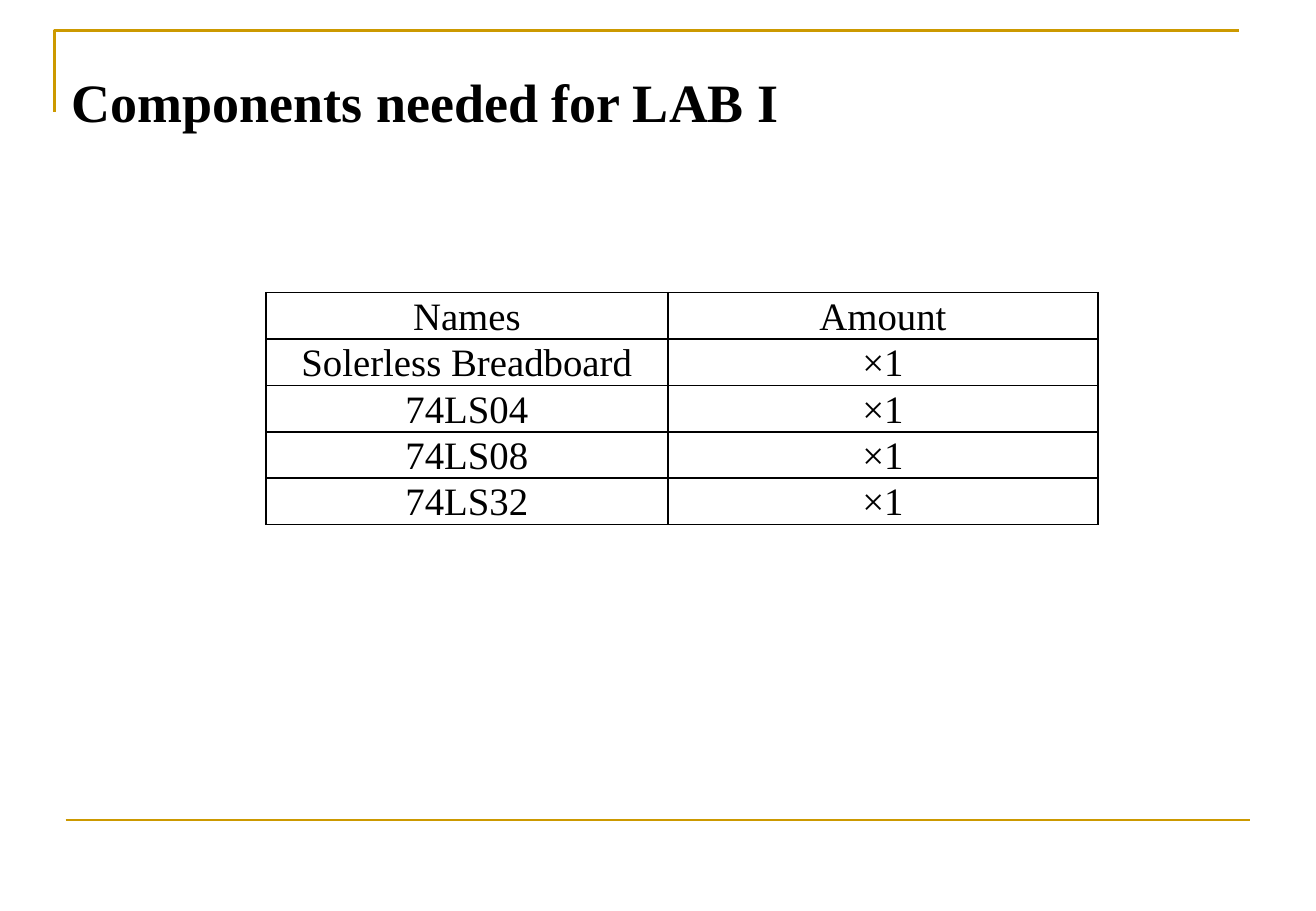
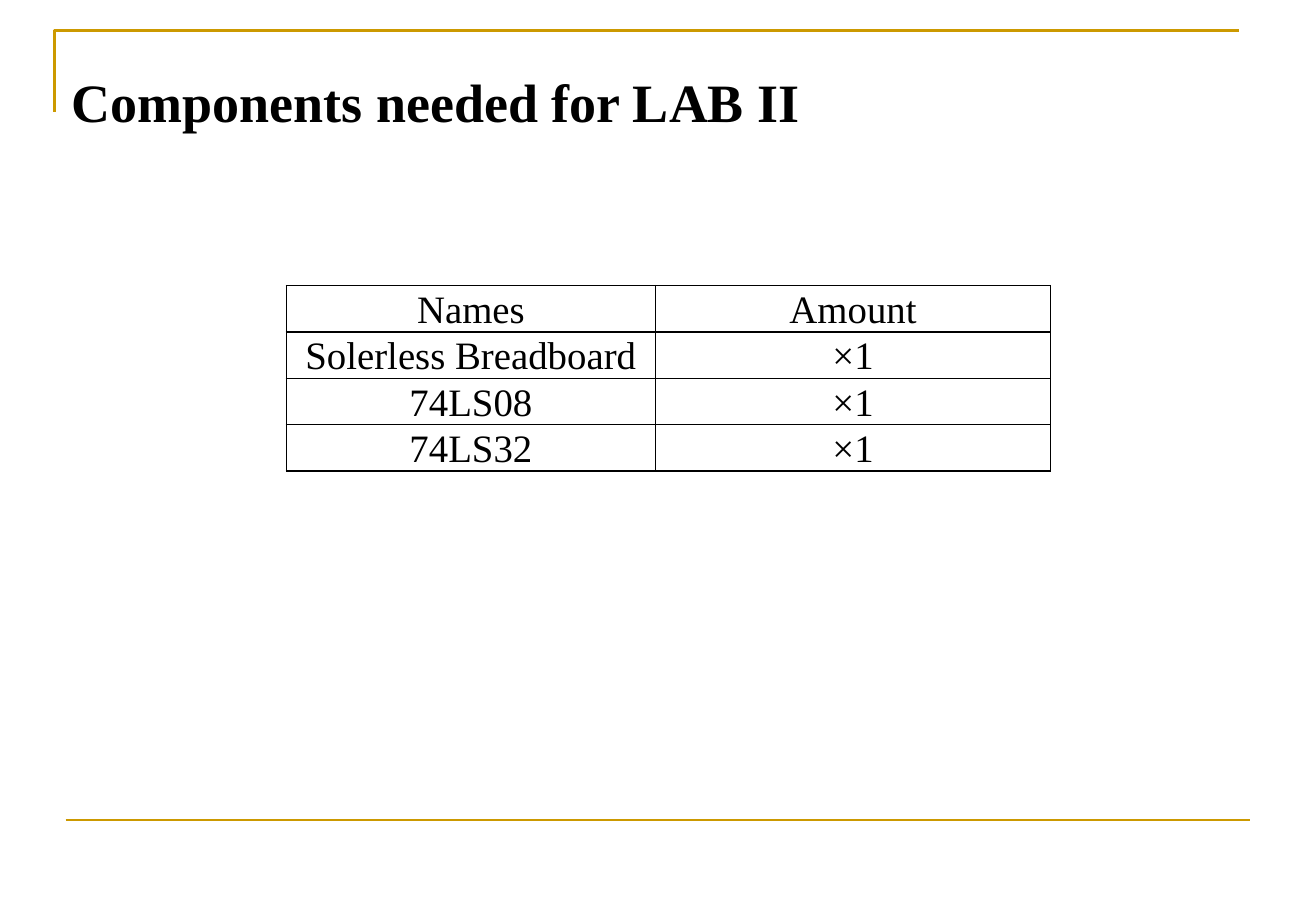
import pptx
import pptx.dml.color
import pptx.enum.shapes
import pptx.enum.text
import pptx.oxml
import pptx.oxml.ns
import pptx.util

Cm, Pt = pptx.util.Cm, pptx.util.Pt
RGBColor = pptx.dml.color.RGBColor
PP_ALIGN = pptx.enum.text.PP_ALIGN
MSO_ANCHOR = pptx.enum.text.MSO_ANCHOR

# Shared style
GOLD = RGBColor(0xCC, 0x99, 0x00)
BLACK = RGBColor(0x00, 0x00, 0x00)
FONT = "Times New Roman"
TITLE_FONT = {"name": FONT, "size": Pt(32), "bold": True}
CELL_FONT = {"name": FONT, "size": Pt(23), "bold": False}
TITLE_BOX = {"left": Cm(1.3), "top": Cm(0.66), "width": Cm(20.8), "height": Cm(2.72)}
TITLE_FRAME = {
    "margin_left": Cm(0.2), "margin_right": Cm(0.2),
    "margin_top": Cm(0.1), "margin_bottom": Cm(0.1),
    "vertical_anchor": MSO_ANCHOR.TOP, "word_wrap": True,
    "auto_size": pptx.enum.text.MSO_AUTO_SIZE.NONE,
}
CELL_FRAME = {
    "margin_left": Cm(0.15), "margin_right": Cm(0.15),
    "margin_top": 0, "margin_bottom": 0,
    "vertical_anchor": MSO_ANCHOR.MIDDLE,
}
TITLE_PARAGRAPH = {"alignment": PP_ALIGN.LEFT, "line_spacing": 1.5}
CELL_PARAGRAPH = {"alignment": PP_ALIGN.CENTER, "line_spacing": 1.07}
ROW_HEIGHT = Cm(0.97)
HEADER = ("Names", "Amount")


def apply(target, values):
    for name, value in values.items():
        setattr(target, name, value)


class Deck:
    def __init__(self, width, height):
        self.presentation = pptx.Presentation()
        apply(self.presentation, {"slide_width": width, "slide_height": height})
        self.slide = None

    def add_slide(self, title):
        layout = self.presentation.slide_layouts.get_by_name("Title Only")
        self.slide = self.presentation.slides.add_slide(layout)
        self.add_frame()
        self.add_title(title)

    def style_line(self, shape):
        shape.line.color.rgb = GOLD
        shape.line.width = Pt(1.5)

    def add_frame(self):
        # Corner line at the top, straight line at the bottom
        builder = self.slide.shapes.build_freeform(Cm(1.14), Cm(2.34))
        builder.add_line_segments(
            [(Cm(1.14), Cm(0.64)), (Cm(25.91), Cm(0.64))], close=False)
        corner = builder.convert_to_shape()
        corner.fill.background()
        corner.shadow.inherit = False
        self.style_line(corner)

        footer = self.slide.shapes.add_connector(
            pptx.enum.shapes.MSO_CONNECTOR.STRAIGHT,
            Cm(1.37), Cm(17.15), Cm(26.14), Cm(17.15))
        self.style_line(footer)
        properties = footer.element.spPr
        properties.append(properties.makeelement(pptx.oxml.ns.qn("a:effectLst")))

    def add_text(self, frame, text, paragraph_format, font_format):
        paragraph = frame.paragraphs[0]
        apply(paragraph, paragraph_format)
        run = paragraph.add_run()
        run.text = text
        apply(run.font, font_format)
        run.font.color.rgb = BLACK

    def add_title(self, text):
        title = self.slide.shapes.title
        apply(title, TITLE_BOX)
        apply(title.text_frame, TITLE_FRAME)
        self.add_text(title.text_frame, text, TITLE_PARAGRAPH, TITLE_FONT)

    def add_borders(self, cell):
        properties = cell._tc.get_or_add_tcPr()
        for side in ("lnL", "lnR", "lnT", "lnB"):
            properties.append(pptx.oxml.parse_xml(
                f'<a:{side} {pptx.oxml.ns.nsdecls("a")} w="{Pt(1)}">'
                f'<a:solidFill><a:srgbClr val="{BLACK}"/></a:solidFill></a:{side}>'))

    def add_table(self, left, top, widths, rows):
        table = self.slide.shapes.add_table(
            len(rows), len(widths), left, top,
            sum(widths), ROW_HEIGHT * len(rows)).table
        apply(table, {"first_row": False, "horz_banding": False})
        for column, width in zip(table.columns, widths):
            column.width = width
        for row, texts in zip(table.rows, rows):
            row.height = ROW_HEIGHT
            for cell, text in zip(row.cells, texts):
                apply(cell, CELL_FRAME)
                self.add_borders(cell)
                cell.fill.background()
                self.add_text(cell.text_frame, text, CELL_PARAGRAPH, CELL_FONT)

    def add_components(self, lab, left, top, widths, chips):
        self.add_slide(f"Components needed for LAB {lab}")
        parts = ("Solerless Breadboard", *chips)
        self.add_table(left, top, widths, [HEADER] + [(part, "×1") for part in parts])


deck = Deck(Cm(27.52), Cm(19.05))

# Slide 1: first lab
deck.add_components("I", Cm(5.56), Cm(6.12), (Cm(8.41), Cm(8.99)),
                    ("74LS04", "74LS08", "74LS32"))

# Slide 2: second lab
deck.add_components("II", Cm(5.99), Cm(5.97), (Cm(7.72), Cm(8.26)),
                    ("74LS08", "74LS32"))

deck.presentation.save("out.pptx")
